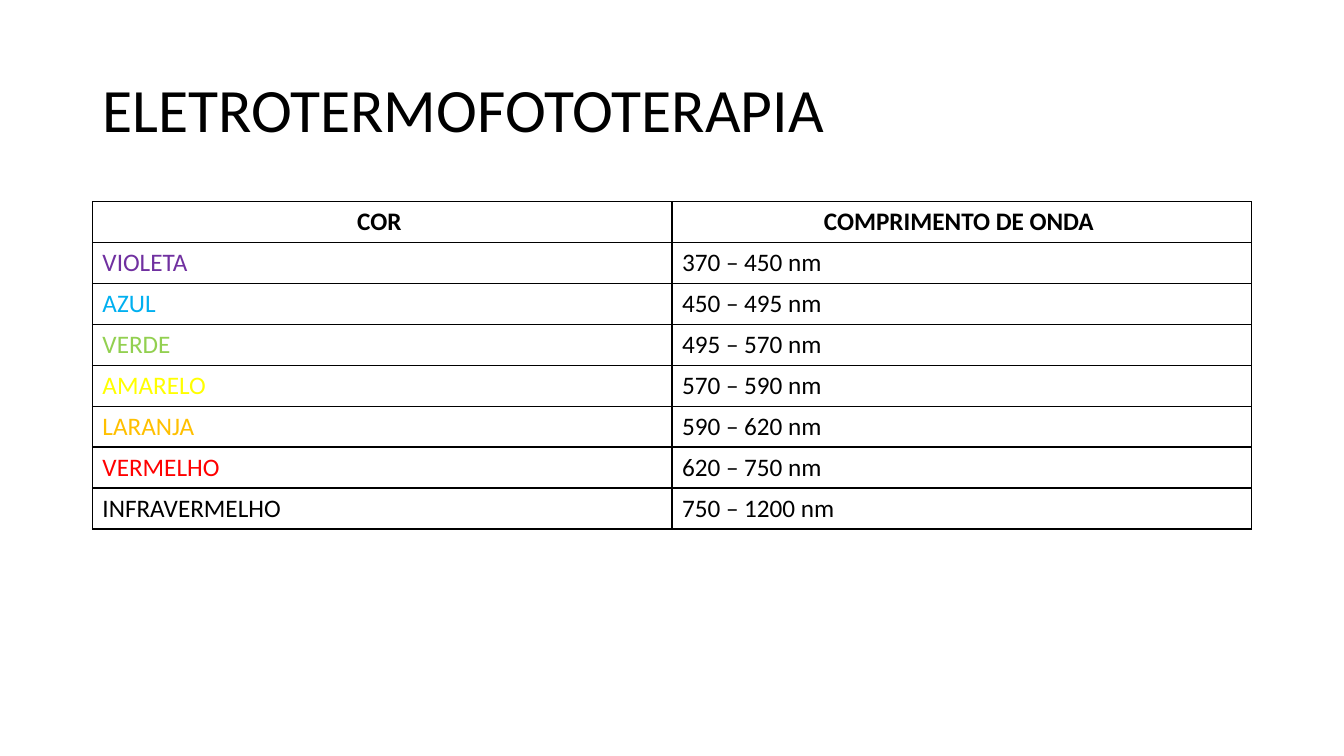
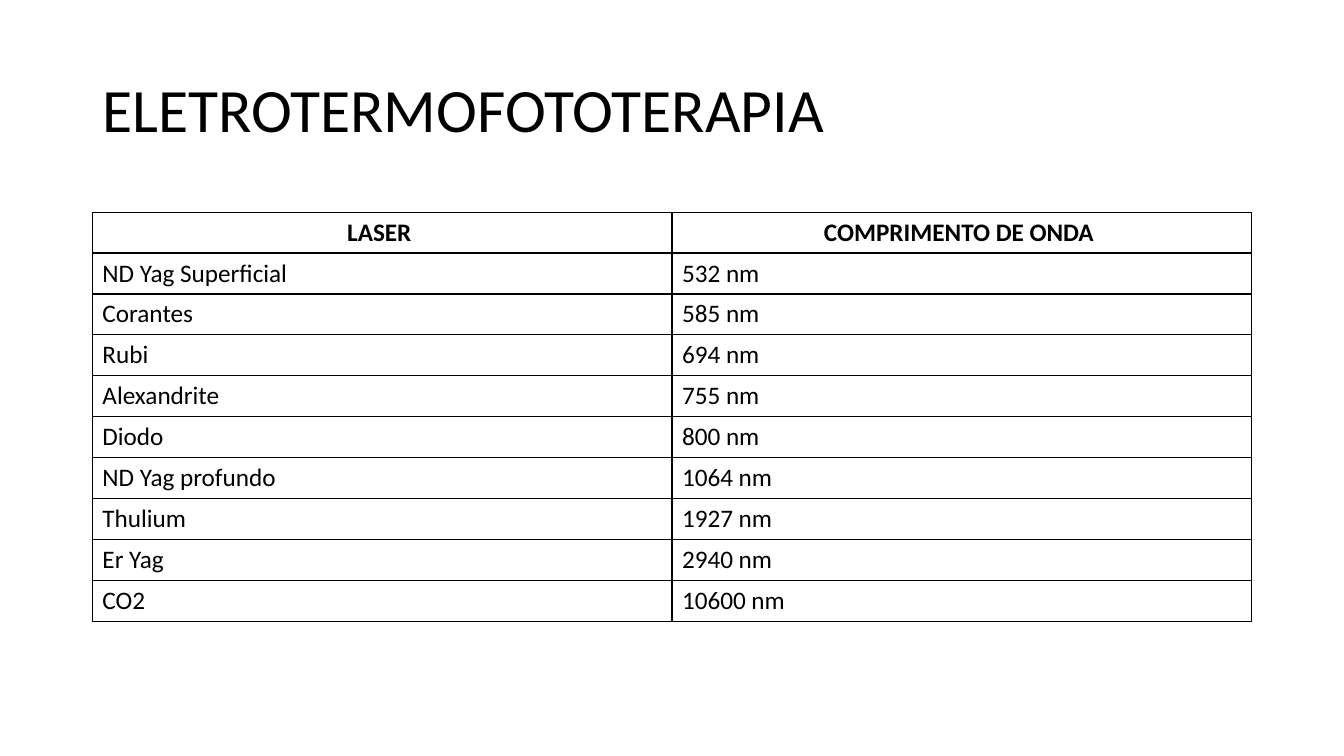
"""Build two slides of wavelength tables for an electrothermophototherapy class."""
from dataclasses import dataclass

import lxml.etree
import pptx
import pptx.dml.color
import pptx.enum.text
import pptx.oxml.ns
import pptx.presentation
import pptx.slide
import pptx.table
import pptx.text.text
import pptx.util

EMU_PER_PX = 9525
TITLE_ONLY_LAYOUT = 5


@dataclass(frozen=True)
class Theme:
    font: str = "Calibri"
    title_size: int = 44
    table_size: int = 18
    border_width: int = 1
    text: str = "000000"
    background: str = "FFFFFF"
    violet: str = "7030A0"
    blue: str = "00B0F0"
    green: str = "92D050"
    yellow: str = "FFFF00"
    orange: str = "FFC000"
    red: str = "FF0000"


THEME = Theme()


@dataclass(frozen=True)
class Box:
    left: int
    top: int
    width: int
    height: int


@dataclass(frozen=True)
class WavelengthRow:
    name: str
    wavelength: str
    color: str = THEME.text


@dataclass(frozen=True)
class WavelengthTable:
    heading: WavelengthRow
    top: int
    rows: tuple[WavelengthRow, ...]


SLIDE = Box(0, 0, 1280, 720)
TITLE = Box(88, 38, 1104, 139)
ROW_HEIGHT = 39
TITLE_TEXT = "ELETROTERMOFOTOTERAPIA"
WAVELENGTH_HEADING = "COMPRIMENTO DE ONDA "

TABLES = (
    WavelengthTable(
        WavelengthRow("COR ", WAVELENGTH_HEADING),
        192,
        (
            WavelengthRow("VIOLETA", "370 – 450 nm", THEME.violet),
            WavelengthRow("AZUL", "450 – 495 nm", THEME.blue),
            WavelengthRow("VERDE", "495 – 570 nm", THEME.green),
            WavelengthRow("AMARELO", "570 – 590 nm", THEME.yellow),
            WavelengthRow("LARANJA", "590 – 620 nm", THEME.orange),
            WavelengthRow("VERMELHO", "620 – 750 nm", THEME.red),
            WavelengthRow("INFRAVERMELHO", "750 – 1200 nm"),
        ),
    ),
    WavelengthTable(
        WavelengthRow("LASER ", WAVELENGTH_HEADING),
        202,
        (
            WavelengthRow("ND Yag Superficial", "532 nm"),
            WavelengthRow("Corantes", "585 nm"),
            WavelengthRow("Rubi", "694 nm"),
            WavelengthRow("Alexandrite", "755 nm"),
            WavelengthRow("Diodo", "800 nm"),
            WavelengthRow("ND Yag profundo", "1064 nm"),
            WavelengthRow("Thulium", "1927 nm"),
            WavelengthRow("Er Yag", "2940 nm"),
            WavelengthRow("CO2", "10600 nm"),
        ),
    ),
)


def px(length: int) -> pptx.util.Emu:
    return pptx.util.Emu(length * EMU_PER_PX)


def add_run(
    paragraph: pptx.text.text._Paragraph,
    text: str,
    size: int,
    color: str = THEME.text,
    bold: bool = False,
) -> None:
    run = paragraph.add_run()
    run.text = text
    run.font.name = THEME.font
    run.font.size = pptx.util.Pt(size)
    run.font.bold = bold
    run.font.color.rgb = pptx.dml.color.RGBColor.from_string(color)


def add_title(slide: pptx.slide.Slide) -> None:
    title = slide.shapes.title
    title.left, title.top = px(TITLE.left), px(TITLE.top)
    title.width, title.height = px(TITLE.width), px(TITLE.height)
    frame = title.text_frame
    frame.word_wrap = True
    frame.auto_size = pptx.enum.text.MSO_AUTO_SIZE.NONE
    frame.vertical_anchor = pptx.enum.text.MSO_ANCHOR.MIDDLE
    paragraph = frame.paragraphs[0]
    paragraph.alignment = pptx.enum.text.PP_ALIGN.LEFT
    paragraph.line_spacing = 0.9
    add_run(paragraph, TITLE_TEXT, THEME.title_size)


def add_borders(cell: pptx.table._Cell) -> None:
    qualified = pptx.oxml.ns.qn
    properties = cell._tc.get_or_add_tcPr()
    width = str(pptx.util.Pt(THEME.border_width))
    for side in ("a:lnL", "a:lnR", "a:lnT", "a:lnB"):
        line = lxml.etree.SubElement(properties, qualified(side), w=width)
        fill = lxml.etree.SubElement(line, qualified("a:solidFill"))
        lxml.etree.SubElement(fill, qualified("a:srgbClr"), val=THEME.text)


def format_cell(cell: pptx.table._Cell, text: str, color: str, heading: bool) -> None:
    add_borders(cell)
    cell.fill.solid()
    cell.fill.fore_color.rgb = pptx.dml.color.RGBColor.from_string(THEME.background)
    paragraph = cell.text_frame.paragraphs[0]
    alignments = pptx.enum.text.PP_ALIGN
    paragraph.alignment = alignments.CENTER if heading else alignments.LEFT
    add_run(paragraph, text, THEME.table_size, color, heading)


def add_wavelength_table(slide: pptx.slide.Slide, content: WavelengthTable) -> None:
    rows = (content.heading, *content.rows)
    table = slide.shapes.add_table(
        len(rows), 2,
        px(TITLE.left), px(content.top), px(TITLE.width), px(ROW_HEIGHT * len(rows)),
    ).table
    table.horz_banding = False
    for index, row in enumerate(rows):
        table.rows[index].height = px(ROW_HEIGHT)
        heading = index == 0
        format_cell(table.cell(index, 0), row.name, row.color, heading)
        format_cell(table.cell(index, 1), row.wavelength, THEME.text, heading)


def add_slide(
    presentation: pptx.presentation.Presentation, content: WavelengthTable
) -> None:
    slide = presentation.slides.add_slide(presentation.slide_layouts[TITLE_ONLY_LAYOUT])
    add_title(slide)
    add_wavelength_table(slide, content)


def main() -> None:
    presentation = pptx.Presentation()
    presentation.slide_width = px(SLIDE.width)
    presentation.slide_height = px(SLIDE.height)
    for content in TABLES:
        add_slide(presentation, content)
    presentation.save("out.pptx")


if __name__ == "__main__":
    main()
